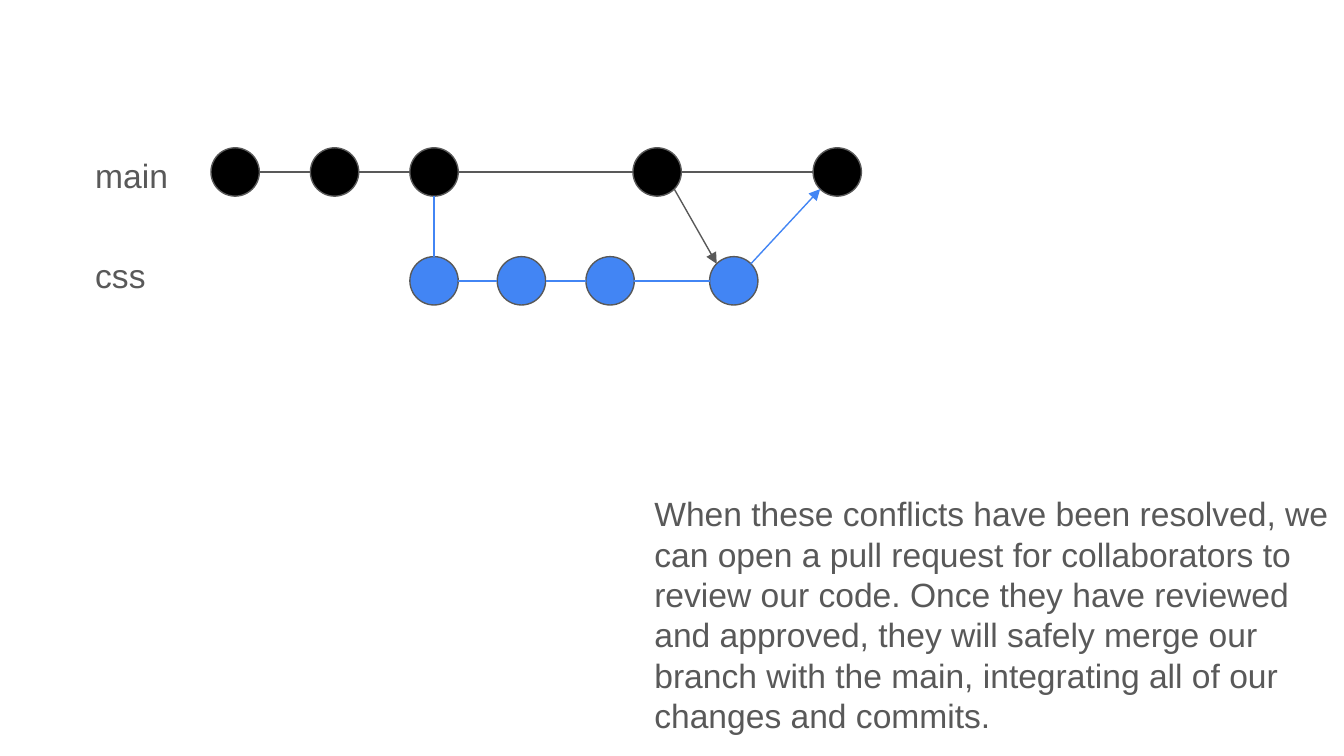
from math import cos, radians, sin

from lxml import etree
from pptx import Presentation
from pptx.dml.color import RGBColor
from pptx.enum.shapes import MSO_CONNECTOR, MSO_SHAPE
from pptx.enum.text import MSO_AUTO_SIZE
from pptx.oxml.ns import qn
from pptx.util import Inches, Pt

STRAIGHT = MSO_CONNECTOR.STRAIGHT
OVAL = MSO_SHAPE.OVAL
FIT_SHAPE = MSO_AUTO_SIZE.SHAPE_TO_FIT_TEXT
NO_FIT = MSO_AUTO_SIZE.NONE

COLORS = {"main": "000000", "css": "4285F4", "gray": "595959"}
SLIDE_WIDTH = 10
DIAMETER = 0.36
RADIUS = DIAMETER / 2
LINE_WIDTH = 0.75

BRANCHES = {
    "main": {"top": 1.1, "lefts": [1.57, 2.31, 3.05, 4.71, 6.05], "line": "gray"},
    "css": {"top": 1.91, "lefts": [3.05, 3.7, 4.36, 5.28], "line": "css"},
}
LINKS = [
    {"start": ("main", 2), "end": ("css", 0), "angles": (90, 270), "color": "css", "arrow": False},
    {"start": ("main", 3), "end": ("css", 3), "angles": (45, 225), "color": "gray", "arrow": True},
    {"start": ("css", 3), "end": ("main", 4), "angles": (315, 135), "color": "css", "arrow": True},
]
LABELS = [("main", 1.05), ("css", 1.8)]
EXPLANATION = (
    "When these conflicts have been resolved, we can open a pull request for "
    "collaborators to review our code. Once they have reviewed and approved, "
    "they will safely merge our branch with the main, integrating all of our "
    "changes and commits."
)


def rgb(name):
    return RGBColor.from_string(COLORS[name])


def add_text(slide, text, *, left, top, width, height, size=18, font="Arial",
             color="gray", auto_size=NO_FIT):
    box = slide.shapes.add_textbox(Inches(left), Inches(top), Inches(width), Inches(height))
    frame = box.text_frame
    frame.word_wrap = True
    frame.auto_size = auto_size
    frame.margin_left = frame.margin_right = Inches(0.1)
    frame.margin_top = frame.margin_bottom = Inches(0.1)
    run = frame.paragraphs[0].add_run()
    run.text = text
    run.font.name = font
    run.font.size = Pt(size)
    run.font.color.rgb = rgb(color)


def add_commit(slide, left, top, color):
    shape = slide.shapes.add_shape(
        OVAL, Inches(left), Inches(top), Inches(DIAMETER), Inches(DIAMETER))
    shape.shadow.inherit = False
    shape.fill.solid()
    shape.fill.fore_color.rgb = rgb(color)
    shape.line.color.rgb = rgb("gray")
    shape.line.width = Pt(LINE_WIDTH)


def edge_point(commit, angle):
    branch_name, index = commit
    branch = BRANCHES[branch_name]
    x = branch["lefts"][index] + RADIUS * (1 + cos(radians(angle)))
    y = branch["top"] + RADIUS * (1 + sin(radians(angle)))
    return Inches(x), Inches(y)


def add_link(slide, start, end, angles, color, arrow=False):
    connector = slide.shapes.add_connector(
        STRAIGHT, *edge_point(start, angles[0]), *edge_point(end, angles[1]))
    connector.line.color.rgb = rgb(color)
    connector.line.width = Pt(LINE_WIDTH)
    if arrow:
        line = connector.line._get_or_add_ln()
        etree.SubElement(line, qn("a:tailEnd"), type="triangle", w="med", len="med")
    etree.SubElement(connector._element.spPr, qn("a:effectLst"))


def main():
    presentation = Presentation()
    presentation.slide_width = Inches(SLIDE_WIDTH)
    presentation.slide_height = Inches(SLIDE_WIDTH * 9 / 16)
    slide = presentation.slides.add_slide(presentation.slide_layouts[6])

    for name, branch in BRANCHES.items():
        for left in branch["lefts"]:
            add_commit(slide, left, branch["top"], name)
        for index in range(len(branch["lefts"]) - 1):
            add_link(slide, (name, index), (name, index + 1), (0, 180), branch["line"])

    for link in LINKS:
        add_link(slide, **link)

    for text, top in LABELS:
        add_text(slide, text, left=0.61, top=top, width=0.82, height=0.25)
    add_text(slide, EXPLANATION, left=4.77, top=3.57, width=5.25, height=2.02,
             auto_size=FIT_SHAPE)

    presentation.save("out.pptx")


if __name__ == "__main__":
    main()
